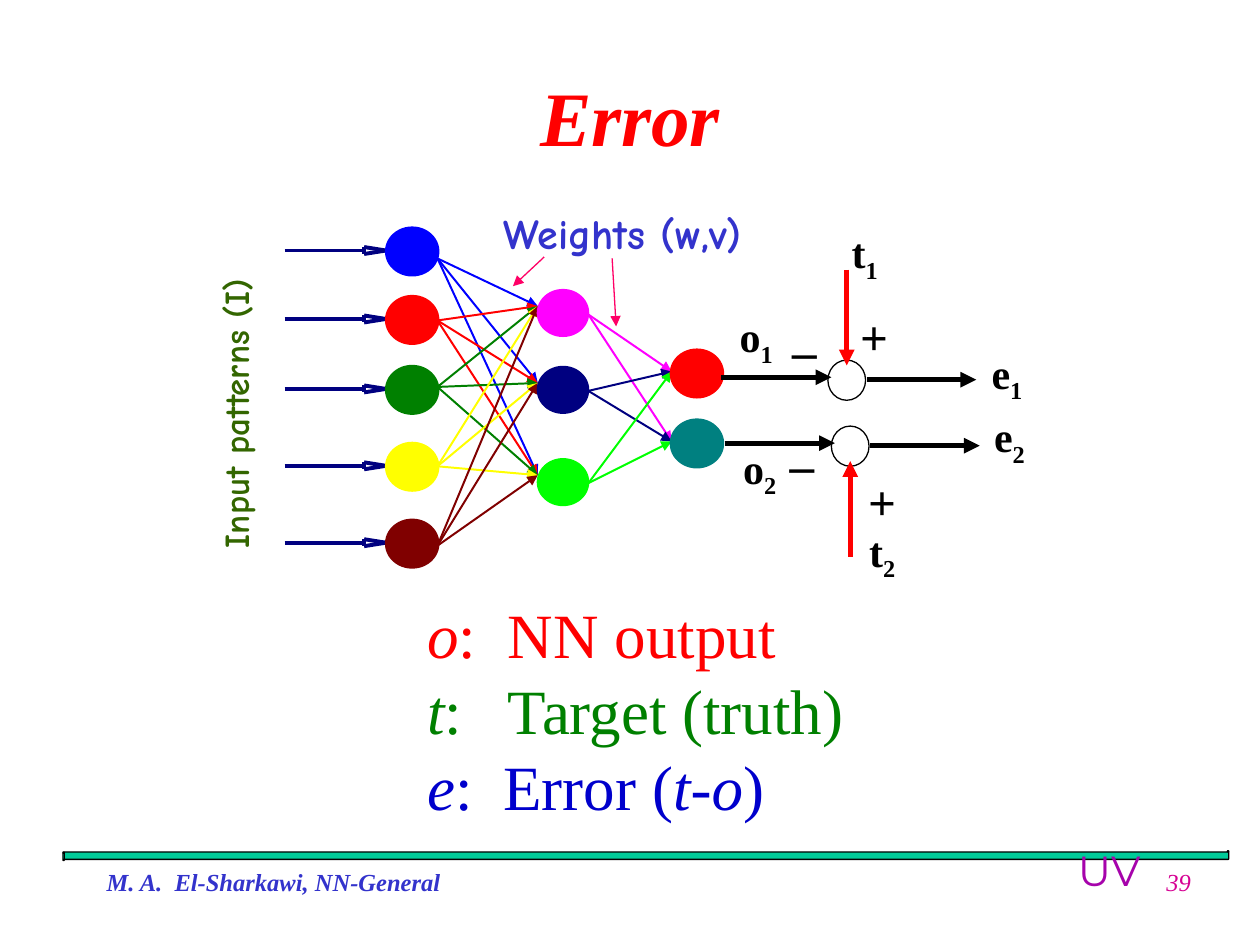
from dataclasses import dataclass

from lxml import etree
from pptx import Presentation
from pptx.dml.color import RGBColor
from pptx.enum.shapes import MSO_CONNECTOR, MSO_SHAPE
from pptx.enum.text import MSO_ANCHOR, PP_ALIGN
from pptx.oxml.ns import qn
from pptx.util import Cm, Pt

STRAIGHT = MSO_CONNECTOR.STRAIGHT
OVAL, SCROLL = MSO_SHAPE.OVAL, MSO_SHAPE.HORIZONTAL_SCROLL
LEFT, CENTER, RIGHT = PP_ALIGN.LEFT, PP_ALIGN.CENTER, PP_ALIGN.RIGHT
TOP, MIDDLE = MSO_ANCHOR.TOP, MSO_ANCHOR.MIDDLE


@dataclass(frozen=True)
class Theme:
    """Colours, fonts and type sizes of the slide."""
    serif: str = "Times New Roman"
    hand: str = "Comic Neue"
    sans: str = "Montserrat"
    black: str = "000000"
    red: str = "FF0000"
    green: str = "008000"
    navy: str = "000080"
    blue: str = "0000CC"
    indigo: str = "3333CC"
    olive: str = "336600"
    pink: str = "FF0066"
    magenta: str = "D60093"
    purple: str = "A603AB"
    mint: str = "00CC99"
    title: int = 44
    legend: int = 36
    sign: int = 28
    label: int = 24
    caption: int = 20
    footer: int = 14


T = Theme()
NODE_W, NODE_H = 1.02, 0.93
INPUTS = [("0000FF", 1.07, 1.21), (T.red, 2.45, 2.46), (T.green, 3.86, 3.8),
          ("FFFF00", 5.41, 5.4), ("800000", 6.96, 7)]
HIDDEN = [("FF00FF", 2.31, 2.34), (T.navy, 3.86, 3.88), ("00FF00", 5.72, 5.74)]
OUTPUTS = [(T.red, 3.53, 3.53), ("008080", 4.94, 4.94)]


def style_run(r, size, color, font=T.serif, bold=False, italic=False):
    """Set the font of one run."""
    f = r.font
    f.name, f.size, f.bold, f.italic = font, Pt(size), bold, italic
    f.color.rgb = RGBColor.from_string(color)


def add_text(s, box, text, size, color, align=LEFT, anchor=TOP, **font):
    """Add a one-paragraph text box and return it."""
    sp = s.shapes.add_textbox(*map(Cm, box))
    tf = sp.text_frame
    tf.word_wrap, tf.vertical_anchor = True, anchor
    p = tf.paragraphs[0]
    p.text, p.alignment = text, align
    style_run(p.runs[0], size, color, **font)
    return sp


def add_line(s, start, end, color, width, arrow=True):
    """Add a straight line, with an arrowhead at its end if wanted."""
    c = s.shapes.add_connector(STRAIGHT, *map(Cm, (*start, *end)))
    c.line.color.rgb = RGBColor.from_string(color)
    c.line.width = Pt(width)
    if arrow:
        etree.SubElement(c.line._get_or_add_ln(), qn("a:tailEnd"), type="triangle")
    etree.SubElement(c._element.spPr, qn("a:effectLst"))


def add_shape(s, kind, box, fill, line, width):
    """Add a flat shape, unfilled when fill is None."""
    sp = s.shapes.add_shape(kind, *map(Cm, box))
    sp.shadow.inherit = False
    if fill:
        sp.fill.solid()
        sp.fill.fore_color.rgb = RGBColor.from_string(fill)
    else:
        sp.fill.background()
    sp.line.color.rgb = RGBColor.from_string(line)
    sp.line.width = Pt(width)


def add_edges(s, left, top, sources, x0, targets, x1, lift):
    """Join every node of one layer to every node of the next."""
    for color, _, port in sources:
        for _, y, _ in targets:
            add_line(s, (left + x0 + NODE_W / 2, top + port),
                     (left + x1 - NODE_W / 2, top + y - lift), color, 1.13)


def add_input_arrow(s, x, y):
    """Draw an input arrow with an open head."""
    neck, high, low, tip = (x + 1.6, y), (x + 1.6, y - 0.07), (x + 1.6, y + 0.07), (x + 2.04, y)
    for start, end in [((x, y), neck), (high, low), (high, tip), (tip, low)]:
        add_line(s, start, end, T.navy, 2.25, arrow=False)


def add_network(s, box):
    """Draw the three-layer network with its captions."""
    left, top = box
    x_in, x_hid, x_out = 7.31, 10.35, 13.05
    add_edges(s, left, top, INPUTS, x_in, HIDDEN, x_hid, 0.14)
    add_edges(s, left, top, HIDDEN, x_hid, OUTPUTS, x_out, 0.04)
    for _, y, _ in INPUTS:
        add_input_arrow(s, left + 4.74, top + y - 0.02)
    for layer, x, width in [(HIDDEN, x_hid, 1.13), (OUTPUTS, x_out, 2.25), (INPUTS, x_in, 2.25)]:
        for color, y, _ in layer:
            add_shape(s, OVAL, (left + x - NODE_W / 2, top + y - NODE_H / 2, NODE_W, NODE_H),
                      color, color, width)
    sp = add_text(s, (left + 0.17, top + 3.16, 7.16, 1.12), "Input patterns (I)",
                  T.caption, T.olive, font=T.hand, bold=True)
    sp.rotation = 270
    add_text(s, (left + 8.91, top + 0.06, 5.6, 1.27), "Weights (w,v)",
             T.label, T.indigo, font=T.hand, bold=True)
    for x0, y0, x1, y1 in [(11.34, 1.21, 11.42, 2.58), (9.97, 1.18, 9.34, 1.77)]:
        add_line(s, (left + x0, top + y0), (left + x1, top + y1), T.pink, 0.75)


def add_comparator(s, box, number, side, labels):
    """Draw a summing point; the target comes from above (side -1) or below (1)."""
    x, y, w, h = box
    cx, cy = x + w / 2, y + h / 2
    add_shape(s, OVAL, box, None, T.black, 0.75)
    add_line(s, (cx - 2.53, cy - 0.06), (cx - 0.31, cy - 0.06), T.black, 3)
    add_line(s, (cx + 0.4, cy - 0.01), (cx + 2.61, cy - 0.01), T.black, 3)
    add_line(s, (cx, cy + side * 2.23), (cx, cy + side * 0.3), T.red, 3)
    for text, dx, dy in labels:
        is_sign = text in "+_"
        sp = add_text(s, (cx + dx, cy + dy, 1.5, 1.43), text,
                      T.sign if is_sign else T.label, T.black, bold=True)
        if not is_sign:
            r = sp.text_frame.paragraphs[0].add_run()
            r.text = number
            style_run(r, T.label, T.black, bold=True)
            r._r.get_or_add_rPr().set("baseline", "-25000")


def add_legend(s, box):
    """List the meaning of the symbols, with italic variables."""
    lines = [(T.red, 1.63, ["o", ":\tNN output"]),
             (T.green, 1.63, ["t", ":\tTarget (truth)"]),
             (T.blue, 1.54, ["e", ":\tError (", "t-o", ")"])]
    sp = s.shapes.add_textbox(*map(Cm, box))
    tf = sp.text_frame
    tf.word_wrap = True
    for i, (color, stop, parts) in enumerate(lines):
        p = tf.paragraphs[0] if i == 0 else tf.add_paragraph()
        tabs = etree.SubElement(p._p.get_or_add_pPr(), qn("a:tabLst"))
        etree.SubElement(tabs, qn("a:tab"), pos=str(Cm(stop)), algn="l")
        for j, part in enumerate(parts):
            r = p.add_run()
            r.text = part
            style_run(r, T.legend, color, italic=j % 2 == 0)


def add_footer(s, box):
    """Draw the rule, the author, the mark and the page number."""
    left, top, width = box
    add_shape(s, SCROLL, (left, top, width, 0.2), T.mint, T.black, 0.75)
    add_text(s, (left + 20.21, top - 0.26, 2.2, 1.2), "UV", T.label, T.purple, font=T.sans)
    add_text(s, (left + 0.63, top + 0.2, 14.81, 1.27), "M. A.  El-Sharkawi, NN-General",
             T.footer, T.indigo, bold=True, italic=True)
    add_text(s, (left + 16.94, top + 0.2, 6.05, 1.27), "39", T.footer, T.magenta,
             align=RIGHT, italic=True)


def main():
    """Build the slide and save it."""
    prs = Presentation()
    prs.slide_width, prs.slide_height = Cm(25.4), Cm(19.05)
    s = prs.slides.add_slide(prs.slide_layouts[6])
    add_footer(s, (1.27, 17.15, 23.5))
    add_text(s, (1.9, 0.74, 21.6, 3.18), "Error", T.title, T.red,
             align=CENTER, anchor=MIDDLE, bold=True, italic=True)
    add_network(s, (1, 4))
    add_comparator(s, (16.69, 7.26, 0.76, 0.81), "1", -1,
                   [("o", -2.41, -1.52), ("e", 2.67, -0.79), ("t", -0.15, -3.22),
                    ("+", 0.02, -1.62), ("_", -1.35, -1.68)])
    add_comparator(s, (16.76, 8.59, 0.76, 0.81), "2", 1,
                   [("o", -2.41, -0.2), ("e", 2.65, -0.84), ("t", 0.13, 1.47),
                    ("+", 0.11, 0.38), ("_", -1.47, -0.71)])
    add_legend(s, (8.36, 11.89, 9.04, 4.83))
    prs.save("out.pptx")


if __name__ == "__main__":
    main()
